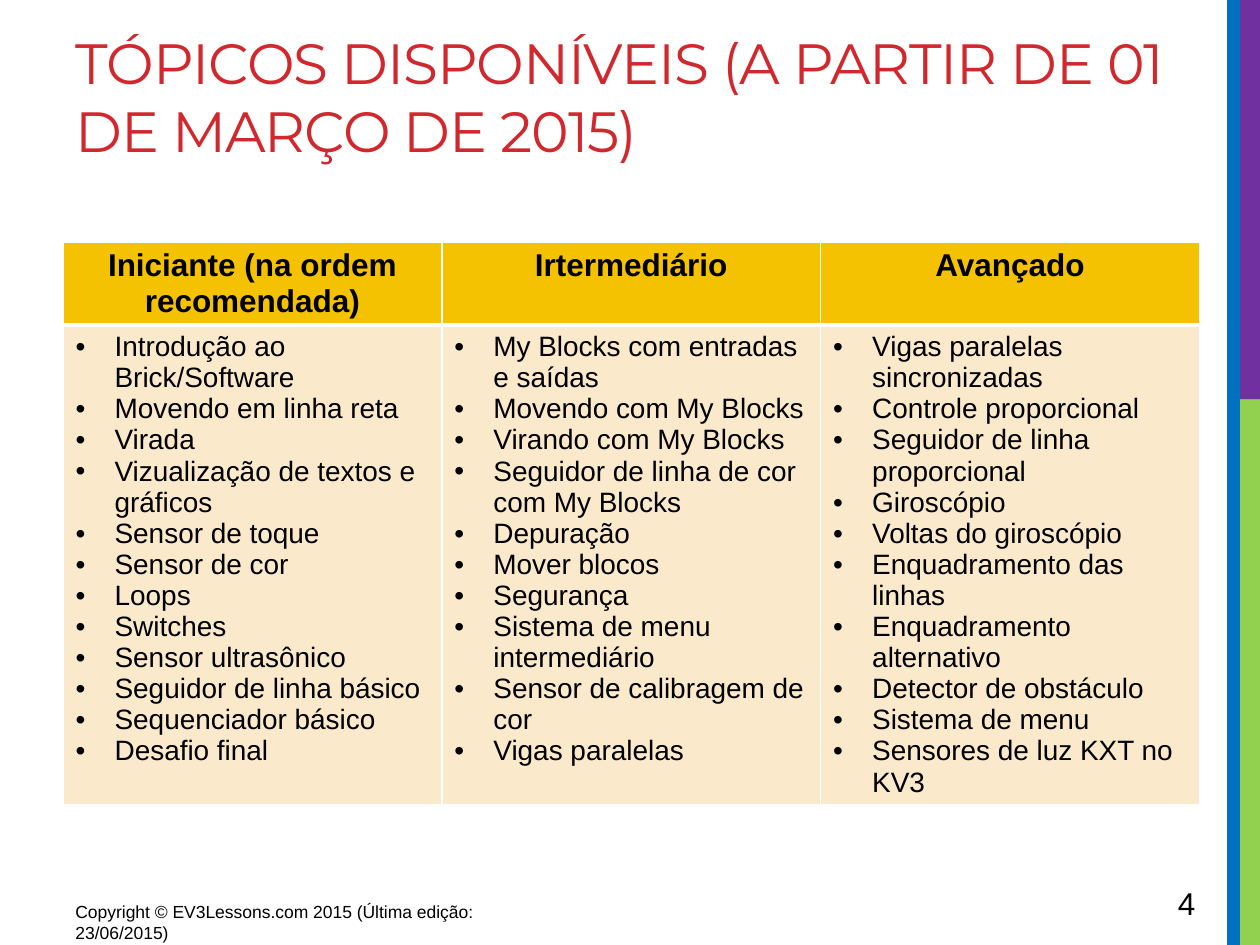
from dataclasses import dataclass

from lxml import etree
from pptx import Presentation
from pptx import util as u
from pptx.dml.color import RGBColor
from pptx.enum import shapes, text
from pptx.oxml.ns import qn


@dataclass(frozen=True)
class Theme:
    # Colours
    title: str = "D1282E"
    ink: str = "000000"
    header: str = "F5C201"
    body: str = "FBE9CC"
    line: str = "FFFFFF"
    green: str = "92D050"
    purple: str = "7030A0"
    blue: str = "0070C0"
    # Fonts and sizes in points
    title_font: str = "Montserrat"
    text_font: str = "Arial"
    title_size: float = 32.4
    header_size: int = 18
    body_size: int = 16
    footer_size: int = 10


TOPICS = {
    "Iniciante (na ordem recomendada)": [
        "Introdução ao Brick/Software", "Movendo em linha reta", "Virada",
        "Vizualização de textos e gráficos", "Sensor de toque", "Sensor de cor",
        "Loops", "Switches", "Sensor ultrasônico", "Seguidor de linha básico",
        "Sequenciador básico", "Desafio final",
    ],
    "Irtermediário": [
        "My Blocks com entradas e saídas", "Movendo com My Blocks",
        "Virando com My Blocks", "Seguidor de linha de cor com My Blocks",
        "Depuração", "Mover blocos", "Segurança", "Sistema de menu intermediário",
        "Sensor de calibragem de cor", "Vigas paralelas",
    ],
    "Avançado": [
        "Vigas paralelas sincronizadas", "Controle proporcional",
        "Seguidor de linha proporcional", "Giroscópio", "Voltas do giroscópio",
        "Enquadramento das linhas", "Enquadramento alternativo",
        "Detector de obstáculo", "Sistema de menu", "Sensores de luz KXT no KV3",
    ],
}


class SlideBuilder:
    """Places elements on a grid of 100 columns by 75 rows."""

    def __init__(self, presentation, theme):
        self.theme = theme
        self.column = presentation.slide_width / 100
        self.row = presentation.slide_height / 75
        self.slide = presentation.slides.add_slide(presentation.slide_layouts[5])

    def box(self, left, top, width, height):
        return (round(left * self.column), round(top * self.row),
                round(width * self.column), round(height * self.row))

    def add_words(self, paragraph, words, size, **changes):
        run = paragraph.add_run()
        run.text = words
        color = changes.pop("color", self.theme.ink)
        values = {"name": self.theme.text_font, "size": u.Pt(size), "bold": False}
        for name, value in {**values, **changes}.items():
            setattr(run.font, name, value)
        run.font.color.rgb = RGBColor.from_string(color)
        return run

    def prepare_frame(self, frame):
        values = {"word_wrap": True, "auto_size": text.MSO_AUTO_SIZE.NONE,
                  "vertical_anchor": text.MSO_ANCHOR.TOP}
        for name, value in values.items():
            setattr(frame, name, value)
        return frame.paragraphs[0]

    def title(self, words, *place):
        shape = self.slide.shapes.title
        for name, value in zip(("left", "top", "width", "height"), self.box(*place)):
            setattr(shape, name, value)
        paragraph = self.prepare_frame(shape.text_frame)
        paragraph.alignment = text.PP_ALIGN.LEFT
        run = self.add_words(paragraph, words, self.theme.title_size,
                             name=self.theme.title_font, color=self.theme.title)
        run._r.get_or_add_rPr().set("spc", "-60")

    def bar(self, color, *place):
        shape = self.slide.shapes.add_shape(shapes.MSO_SHAPE.RECTANGLE, *self.box(*place))
        shape.shadow.inherit = False
        shape.fill.solid()
        shape.fill.fore_color.rgb = RGBColor.from_string(color)
        shape.line.fill.background()

    def label(self, words, size, *place):
        shape = self.slide.shapes.add_textbox(*self.box(*place))
        self.add_words(self.prepare_frame(shape.text_frame), words, size)

    def bullet(self, paragraph):
        indent = u.Inches(0.31)
        properties = paragraph._p.get_or_add_pPr()
        properties.set("marL", str(indent))
        properties.set("indent", str(-indent))
        etree.SubElement(properties, qn("a:buFont")).set("typeface", self.theme.text_font)
        etree.SubElement(properties, qn("a:buChar")).set("char", "•")

    def style_cell(self, cell, color, top, bottom):
        # Borders come before the fill in the cell properties
        properties = cell._tc.get_or_add_tcPr()
        for side, width in {"L": 1, "R": 1, "T": top, "B": bottom}.items():
            line = etree.SubElement(properties, qn(f"a:ln{side}"), w=str(u.Pt(width)))
            fill = etree.SubElement(line, qn("a:solidFill"))
            etree.SubElement(fill, qn("a:srgbClr"), val=self.theme.line)
        cell.fill.solid()
        cell.fill.fore_color.rgb = RGBColor.from_string(color)

    def topic_table(self, topics, heights, left, top, width):
        place = self.box(left, top, width, sum(heights))
        table = self.slide.shapes.add_table(2, len(topics), *place).table
        for row, height in zip(table.rows, heights):
            row.height = round(height * self.row)
        for index, (heading, items) in enumerate(topics.items()):
            header, body = table.cell(0, index), table.cell(1, index)
            # A thick rule parts the header from the body
            self.style_cell(header, self.theme.header, 1, 3)
            paragraph = header.text_frame.paragraphs[0]
            paragraph.alignment = text.PP_ALIGN.CENTER
            self.add_words(paragraph, heading, self.theme.header_size, bold=True)

            self.style_cell(body, self.theme.body, 3, 1)
            frame = body.text_frame
            for number, item in enumerate(items):
                paragraph = frame.add_paragraph() if number else frame.paragraphs[0]
                self.bullet(paragraph)
                self.add_words(paragraph, item, self.theme.body_size)


def main():
    presentation = Presentation()
    presentation.slide_width = u.Inches(10)
    presentation.slide_height = u.Inches(7.5)
    theme = Theme()
    builder = SlideBuilder(presentation, theme)

    # Side bars
    builder.bar(theme.green, 98.4, 31.7, 1.6, 43.3)
    builder.bar(theme.purple, 98, 0, 2, 31.7)
    builder.bar(theme.blue, 97.4, 0, 1, 75)

    # Title and topics
    builder.title("TÓPICOS DISPONÍVEIS (A PARTIR DE 01 DE MARÇO DE 2015)",
                  5, 1.7, 90.2, 15)
    builder.topic_table(TOPICS, (6.5, 38), 5, 19.2, 90.2)

    # Footer
    builder.label("Copyright © EV3Lessons.com 2015 (Última edição: 23/06/2015)",
                  theme.footer_size, 5, 71, 37.5, 3.1)
    builder.label("4", theme.header_size, 92.5, 69.7, 6.9, 4)

    presentation.save("out.pptx")


if __name__ == "__main__":
    main()
